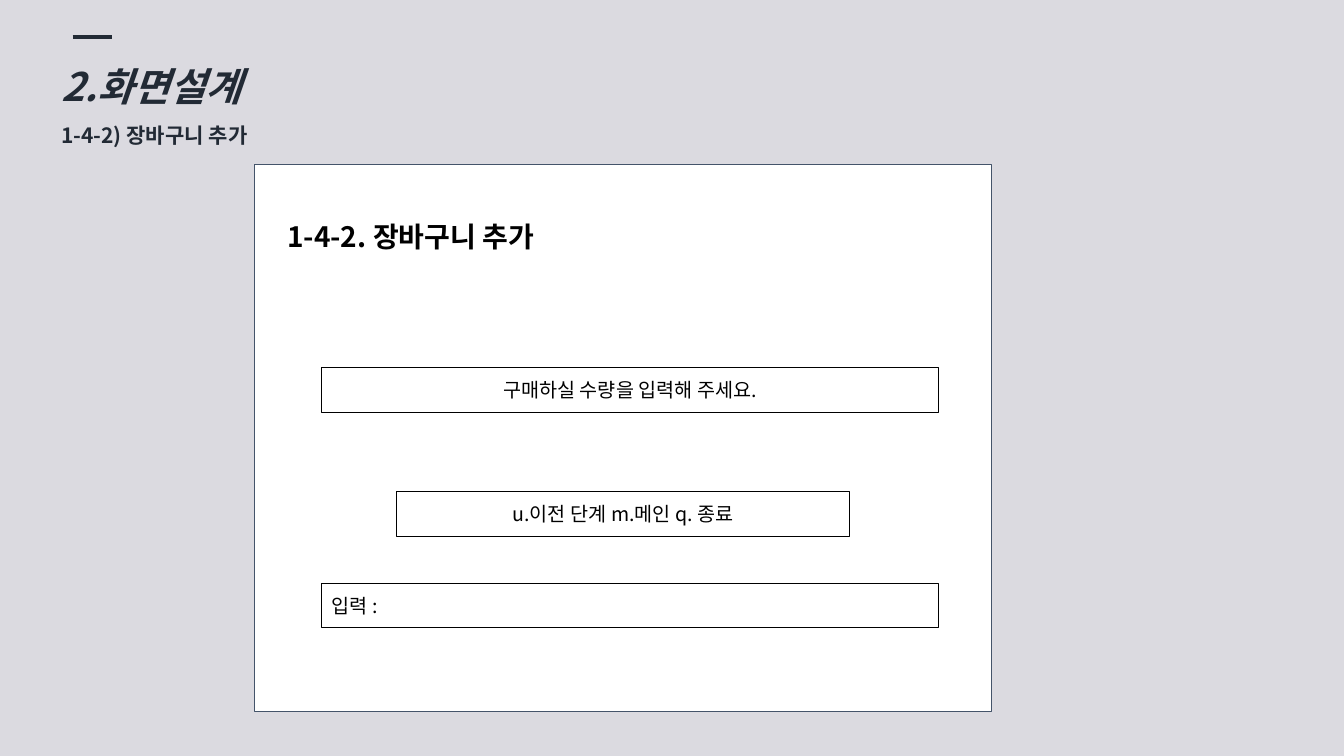
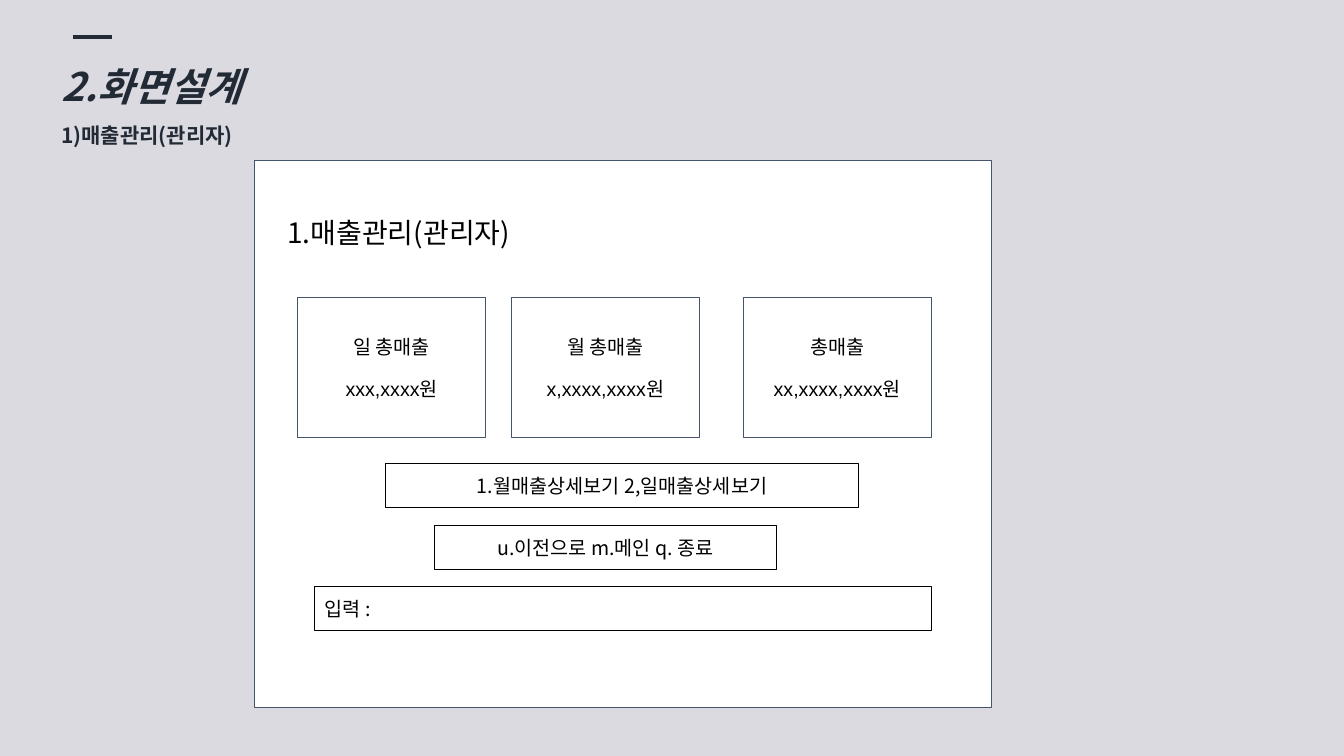
from pptx import Presentation
from pptx.dml.color import RGBColor
from pptx.enum.shapes import MSO_CONNECTOR, MSO_SHAPE
from pptx.enum.text import MSO_ANCHOR, PP_ALIGN
from pptx.oxml.ns import qn
from pptx.util import Inches, Pt

GREY = RGBColor(0xDB, 0xDA, 0xE0)
DARK = RGBColor(0x22, 0x2A, 0x35)
SLATE = RGBColor(0x44, 0x54, 0x6A)
WHITE = RGBColor(0xFF, 0xFF, 0xFF)
BLACK = RGBColor(0, 0, 0)
SANS = "Noto Sans CJK KR"


def write(shape, lines, size, color=BLACK, bold=False, align=PP_ALIGN.LEFT,
          latin=SANS, pad=0.1):
    """Fill a shape with paragraphs of one style and return them."""
    frame = shape.text_frame
    frame.word_wrap = True
    frame.margin_top = frame.margin_bottom = Inches(pad)
    frame.text = "\n".join(lines)
    for para in frame.paragraphs:
        para.alignment = align
        font = para.font
        font.name, font.size, font.bold = latin, Pt(size), bold
        font.color.rgb = color
        east = font._element.makeelement(qn("a:ea"), {"typeface": SANS})
        font._element.find(qn("a:latin")).addnext(east)
    return frame.paragraphs


def add_box(slide, x, y, w, h, line=BLACK, fill=None):
    box = slide.shapes.add_shape(MSO_SHAPE.RECTANGLE, Inches(x), Inches(y),
                                 Inches(w), Inches(h))
    box.shadow.inherit = False
    if fill is None:
        box.fill.background()
    else:
        box.fill.solid()
        box.fill.fore_color.rgb = fill
    box.line.color.rgb = line
    box.line.width = Pt(0.75)
    box.text_frame.vertical_anchor = MSO_ANCHOR.MIDDLE
    return box


MID, LEFT = PP_ALIGN.CENTER, PP_ALIGN.LEFT

# Each screen: subtitle, panel top, caption, caption bold, cards, bars.
# A card is left, label, amount; a bar is left, top, width, text, alignment.
SCREENS = [
    ("1-4-2) 장바구니 추가", 1.63, "1-4-2. 장바구니 추가", True, [], [
        (3.93, 4.88, 4.5, "u.이전 단계 m.메인 q. 종료", MID),
        (3.19, 5.79, 6.12, "입력 :", LEFT),
        (3.19, 3.65, 6.12, "구매하실 수량을 입력해 주세요.", MID),
    ]),
    ("1)매출관리(관리자)", 1.59, "1.매출관리(관리자)", False, [
        (2.95, "일 총매출", "xxx,xxxx원"),
        (5.07, "월 총매출", "x,xxxx,xxxx원"),
        (7.37, "총매출", "xx,xxxx,xxxx원"),
    ], [
        (3.82, 4.6, 4.7, "1.월매출상세보기 2,일매출상세보기", MID),
        (3.12, 5.82, 6.12, "입력 :", LEFT),
        (4.31, 5.21, 3.39, "u.이전으로 m.메인 q. 종료", MID),
    ]),
]

deck = Presentation()
deck.slide_width, deck.slide_height = Inches(13.33), Inches(7.5)

for subtitle, top, caption, bold, cards, bars in SCREENS:
    slide = deck.slides.add_slide(deck.slide_layouts[6])
    slide.background.fill.solid()
    slide.background.fill.fore_color.rgb = GREY

    title = slide.shapes.add_textbox(Inches(0.51), Inches(0.34),
                                     Inches(4.3), Inches(1.14))
    head, sub = write(title, ["2.화면설계", subtitle], 28, DARK, True, pad=0.05)
    head.font.italic = True
    sub.font.size = Pt(15)
    head.line_spacing = sub.line_spacing = 1.5

    dash = slide.shapes.add_connector(MSO_CONNECTOR.STRAIGHT, Inches(0.72),
                                      Inches(0.37), Inches(1.11), Inches(0.37))
    dash.line.color.rgb = DARK
    dash.line.width = Pt(3)
    props = dash._element.spPr
    props.append(props.makeelement(qn("a:effectLst"), {}))

    add_box(slide, 2.52, top, 7.31, 5.43, SLATE, WHITE)
    label = slide.shapes.add_textbox(Inches(2.75), Inches(top + 0.45),
                                     Inches(4.5), Inches(0.54))
    write(label, [caption], 20, bold=bold)

    for x, name, amount in cards:
        card = add_box(slide, x, 2.95, 1.87, 1.39, SLATE, WHITE)
        paras = write(card, [name, amount], 14, align=MID, latin="Arial")
        paras[1].space_before = Pt(13)

    for x, y, w, text, align in bars:
        write(add_box(slide, x, y, w, 0.44), [text], 14, align=align)

deck.save("out.pptx")
